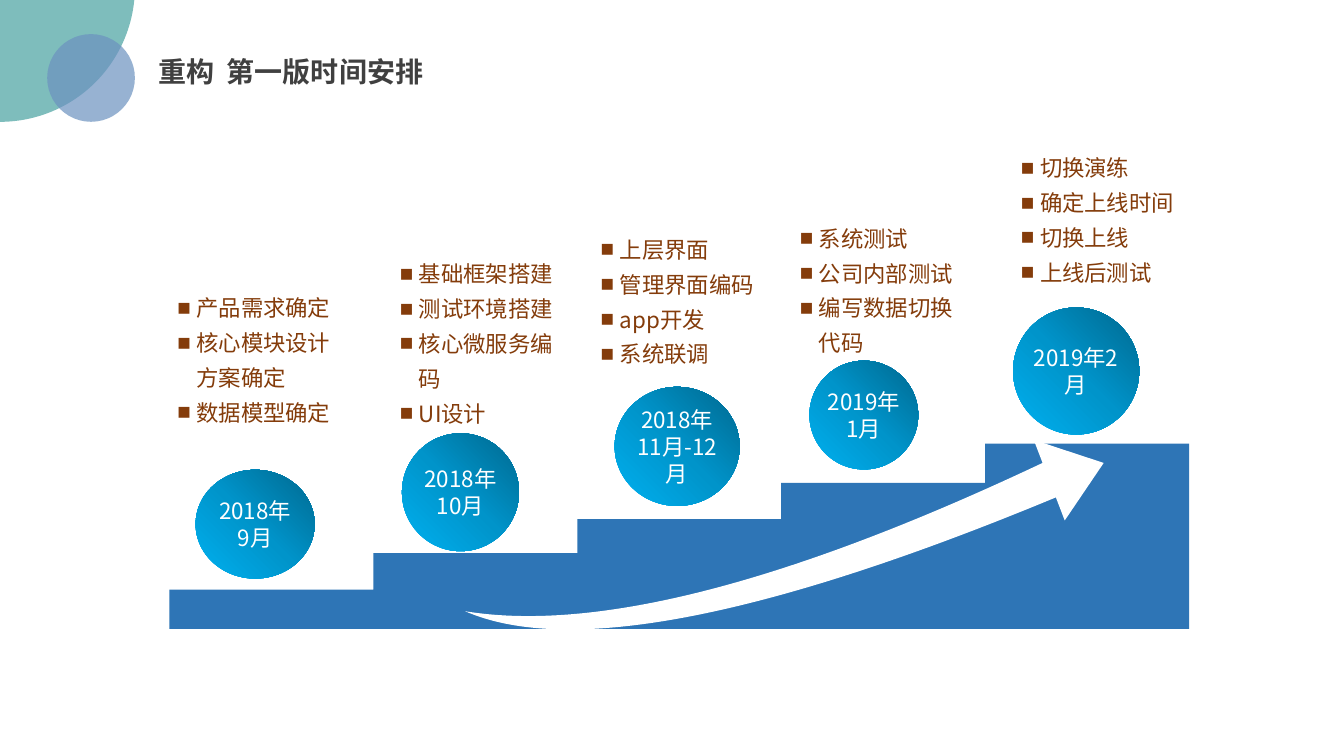
from dataclasses import dataclass

from pptx import Presentation
from pptx.dml.color import RGBColor
from pptx.enum.shapes import MSO_SHAPE
from pptx.enum.text import MSO_ANCHOR, MSO_AUTO_SIZE, PP_ALIGN
from pptx.oxml import parse_xml
from pptx.oxml.ns import nsdecls, qn
from pptx.oxml.xmlchemy import BaseOxmlElement
from pptx.shapes.autoshape import Shape
from pptx.slide import Slide
from pptx.text.text import TextFrame, _Paragraph
from pptx.util import Cm, Pt

FONT = "Noto Sans CJK SC"
COLORS = {
    "stairs": "2E75B6",
    "white": "FFFFFF",
    "tasks": "843C0B",
    "title": "404040",
    "teal": "48A2A0",
    "blue": "6C92C0",
}
BADGE_GRADIENT = {0: "00688E", 50: "0094CA", 100: "00B0F0"}
STAIRS_LEFT, STAIRS_BASE, STEP_WIDTH = 4.27, 15.85, 5.14


@dataclass
class Box:
    left: float
    top: float
    width: float
    height: float

    def lengths(self) -> tuple[Cm, Cm, Cm, Cm]:
        return Cm(self.left), Cm(self.top), Cm(self.width), Cm(self.height)


@dataclass
class Milestone:
    date: str
    badge: Box
    tasks: list[str]
    task_box: Box
    step_top: float


@dataclass
class CornerCircle:
    box: Box
    color: str


MILESTONES = [
    Milestone("2018年\n9月", Box(4.93, 11.84, 3, 2.74),
              ["产品需求确定", "核心模块设计方案确定", "数据模型确定"],
              Box(4.27, 7.11, 4.8, 4.24), 14.86),
    Milestone("2018年10月", Box(10.13, 10.92, 2.95, 2.97),
              ["基础框架搭建", "测试环境搭建", "核心微服务编码", "UI设计"],
              Box(9.88, 6.25, 4.72, 3.35), 13.94),
    Milestone("2018年11月-12月", Box(15.49, 9.75, 3.15, 3),
              ["上层界面", "管理界面编码", "app开发", "系统联调"],
              Box(14.94, 5.64, 5.03, 4.14), 13.08),
    Milestone("2019年1月", Box(20.4, 9.09, 2.74, 2.74),
              ["系统测试", "公司内部测试", "编写数据切换代码"],
              Box(19.96, 5.36, 4.39, 3.53), 12.17),
    Milestone("2019年2月", Box(25.53, 7.75, 3.18, 3.2),
              ["切换演练", "确定上线时间", "切换上线", "上线后测试"],
              Box(25.53, 3.58, 5.11, 4.09), 11.18),
]
CORNER_CIRCLES = [
    CornerCircle(Box(-3.4, -3.73, 6.8, 6.8), "teal"),
    CornerCircle(Box(1.19, 0.86, 2.21, 2.21), "blue"),
]


def drawing_element(tag: str, attributes: str = "", content: str = "") -> BaseOxmlElement:
    return parse_xml(f'<a:{tag} {nsdecls("a")} {attributes}>{content}</a:{tag}>')


def style_paragraph(paragraph: _Paragraph, size: int, color: str, bold: bool = False) -> None:
    font = paragraph.font
    font.size = Pt(size)
    font.bold = bold
    font.color.rgb = RGBColor.from_string(COLORS[color])
    font.name = FONT
    latin = paragraph._p.pPr.find(qn("a:defRPr")).find(qn("a:latin"))
    latin.addnext(drawing_element("ea", f'typeface="{FONT}"'))


def set_margins(frame: TextFrame, horizontal: float, vertical: float) -> None:
    frame.margin_left = frame.margin_right = Cm(horizontal)
    frame.margin_top = frame.margin_bottom = Cm(vertical)


def fill_plain(shape: Shape, color: str) -> None:
    shape.shadow.inherit = False
    shape.line.fill.background()
    shape.fill.solid()
    shape.fill.fore_color.rgb = RGBColor.from_string(COLORS[color])


def add_stairs(slide: Slide) -> None:
    points = []
    for index, milestone in enumerate(MILESTONES):
        left = STAIRS_LEFT + index * STEP_WIDTH
        points += [(Cm(left), Cm(milestone.step_top)),
                   (Cm(left + STEP_WIDTH), Cm(milestone.step_top))]
    points.append((points[-1][0], Cm(STAIRS_BASE)))
    builder = slide.shapes.build_freeform(Cm(STAIRS_LEFT), Cm(STAIRS_BASE))
    builder.add_line_segments(points, close=True)
    fill_plain(builder.convert_to_shape(), "stairs")


def add_arrow(slide: Slide) -> None:
    arrow = slide.shapes.add_shape(MSO_SHAPE.SWOOSH_ARROW, *Box(11.96, 11.43, 16, 4.95).lengths())
    arrow.adjustments[0], arrow.adjustments[1] = 0.187, 0.297
    arrow.rotation = 332.5
    arrow._element.spPr.find(qn("a:xfrm")).set("flipV", "1")
    fill_plain(arrow, "white")


def add_badge(slide: Slide, milestone: Milestone) -> None:
    badge = slide.shapes.add_shape(MSO_SHAPE.OVAL, *milestone.badge.lengths())
    fill_plain(badge, "stairs")
    stops = "".join(f'<a:gs pos="{position * 1000}"><a:srgbClr val="{color}"/></a:gs>'
                    for position, color in BADGE_GRADIENT.items())
    focus = '<a:path path="circle"><a:fillToRect l="100000" b="100000"/></a:path>'
    properties = badge._element.spPr
    properties.replace(properties.find(qn("a:solidFill")),
                       drawing_element("gradFill", 'rotWithShape="1"',
                                       f"<a:gsLst>{stops}</a:gsLst>{focus}"))
    frame = badge.text_frame
    frame.word_wrap = True
    frame.vertical_anchor = MSO_ANCHOR.MIDDLE
    set_margins(frame, 0, 0)
    frame.text = milestone.date
    for paragraph in frame.paragraphs:
        paragraph.alignment = PP_ALIGN.CENTER
        style_paragraph(paragraph, 16, "white")


def add_tasks(slide: Slide, milestone: Milestone) -> None:
    frame = slide.shapes.add_textbox(*milestone.task_box.lengths()).text_frame
    frame.word_wrap = True
    set_margins(frame, 0.2, 0.1)
    frame.text = "\n".join(milestone.tasks)
    for paragraph in frame.paragraphs:
        paragraph.line_spacing = 1.3
        properties = paragraph._p.get_or_add_pPr()
        properties.set("marL", str(Cm(0.48)))
        properties.set("indent", str(-Cm(0.48)))
        properties.append(drawing_element("buFont", 'typeface="Arial"'))
        properties.append(drawing_element("buChar", 'char="■"'))
        style_paragraph(paragraph, 16, "tasks")


def add_corner_circle(slide: Slide, circle: CornerCircle) -> None:
    shape = slide.shapes.add_shape(MSO_SHAPE.OVAL, *circle.box.lengths())
    fill_plain(shape, circle.color)
    color = shape._element.spPr.find(qn("a:solidFill")).find(qn("a:srgbClr"))
    color.append(drawing_element("alpha", 'val="70000"'))


def set_title(slide: Slide) -> None:
    title = slide.shapes.title
    title.left, title.top, title.width, title.height = Box(3.73, 1.24, 7.34, 1.12).lengths()
    frame = title.text_frame
    frame.text = "重构  第一版时间安排"
    frame.word_wrap = False
    frame.auto_size = MSO_AUTO_SIZE.SHAPE_TO_FIT_TEXT
    frame.vertical_anchor = MSO_ANCHOR.TOP
    paragraph = frame.paragraphs[0]
    paragraph.alignment = PP_ALIGN.LEFT
    style_paragraph(paragraph, 20, "title", bold=True)


def main() -> None:
    """Build the staircase timeline slide and save it."""
    presentation = Presentation()
    presentation.slide_width, presentation.slide_height = Cm(33.87), Cm(19.05)
    slide = presentation.slides.add_slide(presentation.slide_layouts[5])
    add_stairs(slide)
    add_arrow(slide)
    for milestone in MILESTONES:
        add_badge(slide, milestone)
        add_tasks(slide, milestone)
    for circle in CORNER_CIRCLES:
        add_corner_circle(slide, circle)
    set_title(slide)
    presentation.save("out.pptx")


if __name__ == "__main__":
    main()
